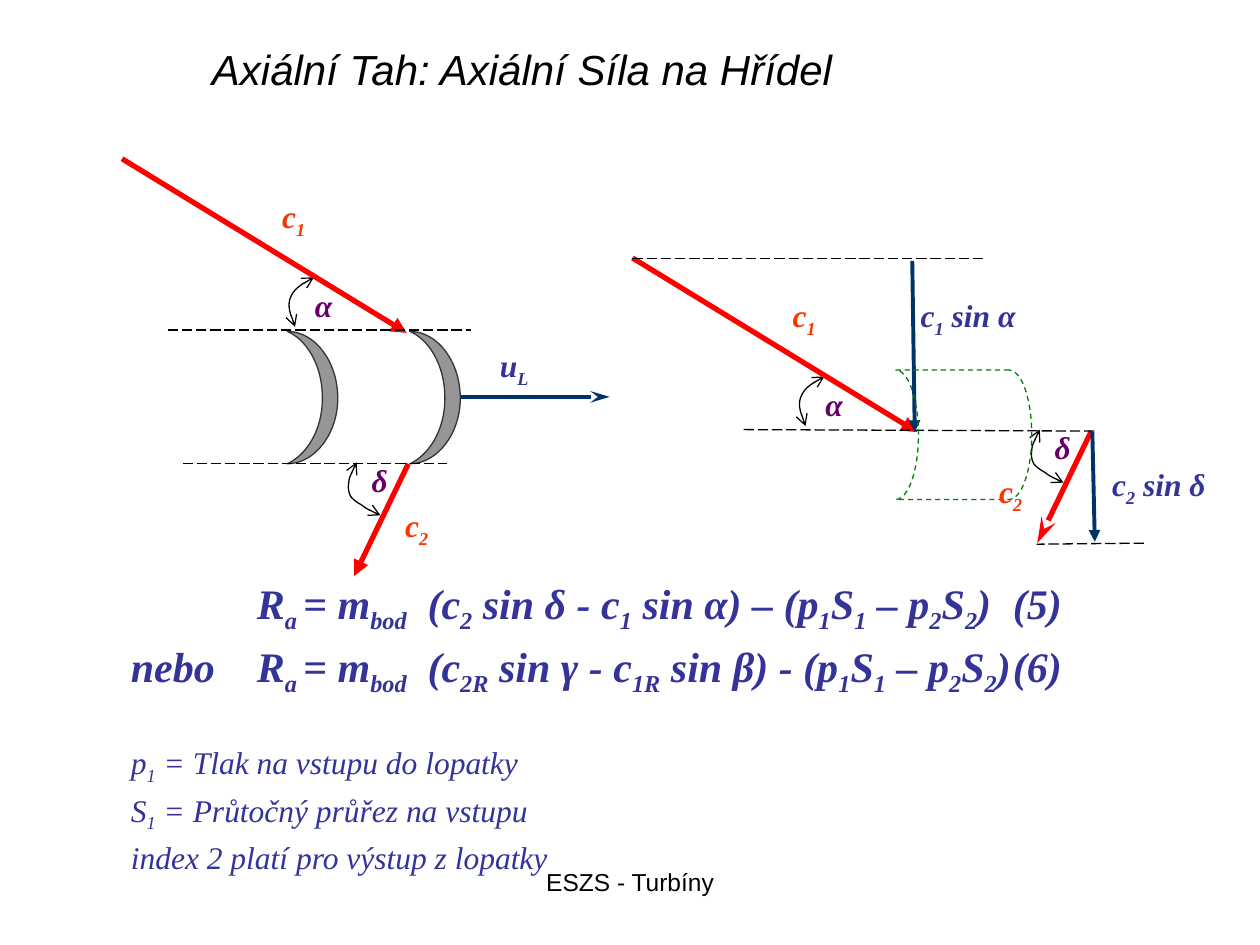
"""Slide on axial thrust: blade velocity diagrams, force equations and legend."""
import pptx
import pptx.dml.color
import pptx.enum.dml
import pptx.enum.shapes
import pptx.enum.text
import pptx.oxml
import pptx.oxml.ns
import pptx.util

Cm = pptx.util.Cm
Pt = pptx.util.Pt
rgb = pptx.dml.color.RGBColor.from_string
qn = pptx.oxml.ns.qn
DASH = pptx.enum.dml.MSO_LINE.DASH
LONG = pptx.enum.dml.MSO_LINE.LONG_DASH
CENTER = pptx.enum.text.PP_ALIGN.CENTER
NS = pptx.oxml.ns.nsdecls("a")
BLACK, RED, NAVY = "000000", "FF0000", "003366"
BLUE, ORANGE, PURPLE = "333399", "FF3300", "660066"


def write(tf, text, size=18, color=BLUE, font="Times New Roman", bold=True,
          italic=True, align=None, before=0, tabs=()):
    """Add a paragraph; parts between underscores are subscripts."""
    p = tf.add_paragraph() if tf.text else tf.paragraphs[0]
    if tabs:
        stops = "".join(f'<a:tab pos="{Cm(t)}" algn="l"/>' for t in tabs)
        p._p.get_or_add_pPr().append(
            pptx.oxml.parse_xml(f"<a:tabLst {NS}>{stops}</a:tabLst>"))
    p.alignment = align
    p.space_before = Pt(before)
    for i, part in enumerate(text.split("_")):
        if part:
            r = p.add_run()
            r.text = part
            r.font.size, r.font.name = Pt(size), font
            r.font.bold, r.font.italic = bold, italic
            r.font.color.rgb = rgb(color)
            if i % 2:
                r._r.get_or_add_rPr().set("baseline", "-25000")


def stroke(s, color=BLACK, width=0.75, dash=None, head=None, tail=None):
    """Format an outline with optional dash and arrowheads."""
    s.line.color.rgb = rgb(color)
    s.line.width = Pt(width)
    if dash:
        s.line.dash_style = dash
    for tag, kind in (("headEnd", head), ("tailEnd", tail)):
        if kind:
            length = "lg" if kind == "stealth" else "med"
            s.line._get_or_add_ln().append(pptx.oxml.parse_xml(
                f'<a:{tag} {NS} type="{kind}" w="med" len="{length}"/>'))


prs = pptx.Presentation()
prs.slide_width, prs.slide_height = Cm(25.4), Cm(19.05)
shapes = prs.slides.add_slide(prs.slide_layouts[6]).shapes

crescent = [(0, 0), (0.36, 0.15), (0.71, 0.64), (0.71, 1.35), (0.71, 2.03),
            (0.36, 2.51), (0, 2.67), (0.56, 2.67), (1.02, 2.06), (1.02, 1.35),
            (1.02, 0.61), (0.56, 0), (0, 0)]
alpha_arc = [(0.13, 1.0), (0.11, 0.94), (0.03, 0.74), (0.01, 0.61), (0, 0.51),
             (0.02, 0.43), (0.06, 0.36), (0.1, 0.28), (0.15, 0.23), (0.23, 0.17),
             (0.31, 0.11), (0.45, 0.05), (0.51, 0)]
delta_arc = [(0.66, 1.07), (0.58, 1.04), (0.38, 0.94), (0.28, 0.86), (0.18, 0.81),
             (0.1, 0.74), (0.06, 0.69), (0.02, 0.61), (0, 0.53), (0.02, 0.41),
             (0.03, 0.3), (0.13, 0.1), (0.18, 0)]

dashed = dict(dash=LONG)
blue_arrow = dict(color=NAVY, width=2.25, tail="triangle")
red_arrow = dict(color=RED, width=3, tail="triangle")
lines = []
curves = [(5.79, 6.68, crescent), (8.26, 6.68, crescent)]
labels = [
    (9.83, 6.86, 1.8, "u_L_", BLUE),
    (18.31, 5.84, 3.38, "c_1_ sin α", BLUE),
    (22.17, 9.25, 2.79, "c_2_ sin δ", BLUE),
    (7.92, 10.08, 1.3, "c_2_", ORANGE),
    (19.89, 9.4, 1.3, "c_2_", ORANGE),
]
for dx, dy in ((0, 0), (10.29, 2.0)):
    lines.append((2.46 + dx, 3.2 + dy, 8.2 + dx, 6.71 + dy, red_arrow))
    curves.append((5.82 + dx, 5.59 + dy, alpha_arc))
    labels += [(5.44 + dx, 3.84 + dy, 1.8, "c_1_", ORANGE),
               (6.1 + dx, 5.64 + dy, 0.81, "α", PURPLE)]
for dx, dy, tail in ((0, 0, "triangle"), (13.77, -0.66, "stealth")):
    lines.append((8.23 + dx, 9.35 + dy, 7.14 + dx, 11.61 + dy,
                  red_arrow | dict(tail=tail)))
    curves.append((7.01 + dx, 9.32 + dy, delta_arc))
    labels.append((7.24 + dx, 9.17 + dy, 0.81, "δ", PURPLE))
lines += [
    (3.68, 9.35, 9.02, 9.35, dashed),
    (3.38, 6.65, 9.5, 6.65, dashed),
    (9.3, 8, 12.29, 8, blue_arrow | dict(tail="stealth")),
    (14.99, 8.66, 22.07, 8.69, dashed),
    (12.75, 5.21, 19.84, 5.21, dashed),
    (18.39, 5.26, 18.44, 8.71, blue_arrow),
    (22.02, 8.71, 22.07, 10.92, blue_arrow),
    (23.06, 10.95, 20.9, 10.97, dashed),
]

for x, y, pts in curves:
    closed = pts is crescent
    start, *rest = [(Cm(x + px), Cm(y + py)) for px, py in pts]
    fb = shapes.build_freeform(*start)
    fb.add_line_segments(rest, close=closed)
    s = fb.convert_to_shape()
    segments = list(s._element.iter(qn("a:lnTo")))
    for i in range(0, len(pts) - 1, 3):
        bezier = pptx.oxml.parse_xml(f"<a:cubicBezTo {NS}/>")
        segments[i].addprevious(bezier)
        for segment in segments[i:i + 3]:
            bezier.append(segment[0])
            segment.getparent().remove(segment)
    s.shadow.inherit = False
    if closed:
        s.fill.solid()
        s.fill.fore_color.rgb = rgb("969696")
        stroke(s, "333333")
    else:
        s.fill.background()
        stroke(s, head="arrow", tail="arrow")

for x1, y1, x2, y2, fmt in lines:
    s = shapes.add_connector(pptx.enum.shapes.MSO_CONNECTOR.STRAIGHT,
                             Cm(x1), Cm(y1), Cm(x2), Cm(y2))
    stroke(s, **fmt)
    s._element.spPr.append(pptx.oxml.parse_xml(f"<a:effectLst {NS}/>"))

s = shapes.add_shape(pptx.enum.shapes.MSO_SHAPE.FLOWCHART_STORED_DATA,
                     Cm(18.06), Cm(7.46), Cm(2.74), Cm(2.61))
s._element.spPr.get_or_add_xfrm().set("flipH", "1")
s.shadow.inherit = False
s.fill.background()
stroke(s, "008000", dash=DASH)

equation = dict(size=24, tabs=(2.54, 5.98, 17.78))
legend = dict(bold=False, before=2.5)
heading = dict(color=BLACK, font="Arial", bold=False, align=CENTER)
boxes = [(x, y, w, 1.12, [(text, dict(color=color))])
         for x, y, w, text, color in labels]
boxes += [
    (2.39, 11.51, 21.84, 6.35, [
        ("\tR_a _= m_bod_\t(c_2_ sin δ - c_1_ sin α) – "
         "(p_1_S_1_ – p_2_S_2_)\t(5)", equation),
        ("nebo\tR_a _= m_bod_\t(c_2R_ sin γ - c_1R_ sin β) - "
         "(p_1_S_1_ – p_2_S_2_)\t(6)", equation | dict(before=3.4)),
        ("p_1_ = Tlak na vstupu do lopatky", legend | dict(before=26)),
        ("S_1_ = Průtočný průřez na vstupu", legend),
        ("index 2 platí pro výstup z lopatky", legend)]),
    (1.57, 0.76, 17.91, 1.27,
     [("Axiální Tah: Axiální Síla na Hřídel", heading | dict(size=24))]),
    (8.68, 17.35, 8.05, 1.32,
     [("ESZS - Turbíny", heading | dict(size=14, italic=False))]),
]
for x, y, w, h, paragraphs in boxes:
    tf = shapes.add_textbox(Cm(x), Cm(y), Cm(w), Cm(h)).text_frame
    tf.word_wrap = True
    for text, fmt in paragraphs:
        write(tf, text, **fmt)

prs.save("out.pptx")
